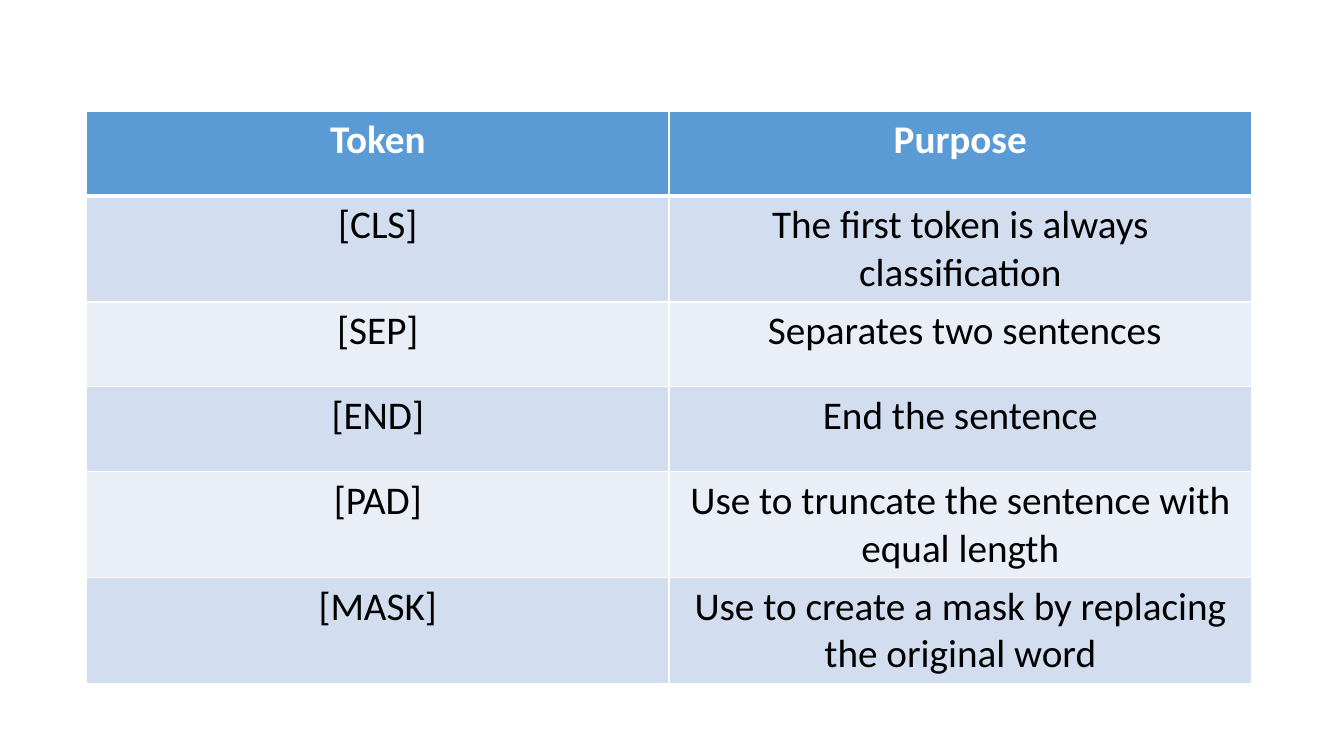
from lxml.etree import SubElement
from pptx import Presentation
from pptx.dml.color import RGBColor
from pptx.enum.text import PP_ALIGN
from pptx.oxml.ns import qn
from pptx.util import Cm, Pt

ROWS = [
    ("Token", "Purpose"),
    ("[CLS]", "The first token is always classification"),
    ("[SEP]", " Separates two sentences"),
    ("[END]", "End the sentence"),
    ("[PAD]", "Use to truncate the sentence with equal length"),
    ("[MASK]", "Use to create a mask by replacing the original word"),
]
COLORS = {
    "header": "5B9BD5",
    "odd": "D2DEEF",
    "even": "EAEFF7",
    "border": "FFFFFF",
    "header_text": "FFFFFF",
    "body_text": "000000",
}
LEFT, TOP = Cm(2.18), Cm(2.8)
COLUMN_WIDTH, ROW_HEIGHT = Cm(14.68), Cm(2.14)


def rgb(name):
    return RGBColor.from_string(COLORS[name])


def add_border(cell, side, width):
    line = SubElement(cell._tc.get_or_add_tcPr(), qn(f"a:{side}"), w=str(Pt(width)))
    fill = SubElement(line, qn("a:solidFill"))
    SubElement(fill, qn("a:srgbClr"), val=COLORS["border"])


def style_cell(cell, text, row):
    is_header = row == 0
    for side in ("lnL", "lnR", "lnT", "lnB"):
        heavy = (is_header and side == "lnB") or (row == 1 and side == "lnT")
        add_border(cell, side, 3 if heavy else 1)
    cell.fill.solid()
    cell.fill.fore_color.rgb = rgb("header" if is_header else "odd" if row % 2 else "even")
    cell.text_frame.text = text
    para = cell.text_frame.paragraphs[0]
    para.alignment = PP_ALIGN.CENTER
    font = para.runs[0].font
    font.name = "Calibri"
    font.size = Pt(28)
    font.bold = is_header
    font.color.rgb = rgb("header_text" if is_header else "body_text")


deck = Presentation()
deck.slide_width, deck.slide_height = Cm(33.87), Cm(19.05)
page = deck.slides.add_slide(deck.slide_layouts[6])

column_count = len(ROWS[0])
table = page.shapes.add_table(
    len(ROWS), column_count, LEFT, TOP,
    COLUMN_WIDTH * column_count, ROW_HEIGHT * len(ROWS),
).table
for column in table.columns:
    column.width = COLUMN_WIDTH
for row, texts in enumerate(ROWS):
    table.rows[row].height = ROW_HEIGHT
    for column, text in enumerate(texts):
        style_cell(table.cell(row, column), text, row)

deck.save("out.pptx")
